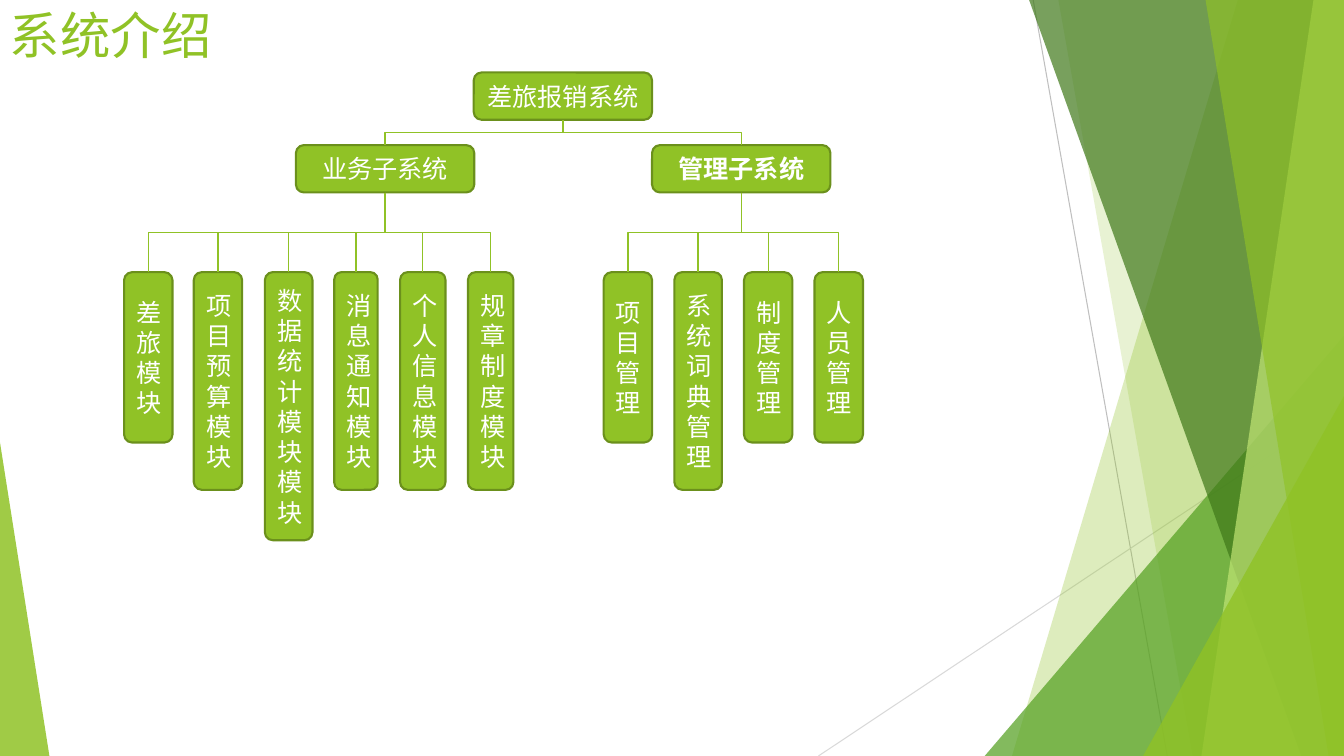
from dataclasses import dataclass

from lxml import etree
from pptx import Presentation
from pptx import util as u
from pptx.dml.color import RGBColor
from pptx.enum import shapes, text
from pptx.oxml.ns import qn

Pt = u.Pt
W, H = 960, 540
COLORS = {
    "lime": "90C226",
    "edge": "6B901C",
    "green": "54A021",
    "dark": "3F7819",
    "pale": "C0E474",
    "white": "FFFFFF",
    "gray": "BFBFBF",
    "silver": "D9D9D9",
}
FONT = "Cabin"
LEAF_TOP = 194.4
LEAF_HEIGHTS = {4: 121.7, 6: 155.5, 8: 191.5}


@dataclass
class Facet:
    top_x: float
    bottom_x: float
    color: str
    alpha: int


@dataclass
class Wedge:
    x: float
    y: float
    w: float
    apex: int
    color: str
    alpha: int


@dataclass
class Box:
    label: str
    x: float
    y: float
    w: float
    h: float
    bold: bool = False


@dataclass
class Leaf:
    label: str
    x: float
    w: float = 34.6


DECOR = [
    Facet(884.2, 722.9, "lime", 30),
    Facet(756, 851.8, "lime", 20),
    Wedge(703.4, 239.8, 256.6, 1, "green", 72),
    Facet(735.1, 929.5, "dark", 70),
    Facet(938.2, 858.2, "pale", 70),
    Facet(861.1, 949, "lime", 65),
    Wedge(816.5, 283, 143.5, 1, "lime", 80),
    Wedge(0, 316.1, 35.3, 0, "lime", 85),
]
RAYS = [(738, 0, 833.8, H, "gray"), (W, 290.2, 584.6, H, "silver")]

ROOT = Box("差旅报销系统", 338.4, 51.8, 127.4, 33.8)
BRANCHES = [
    (Box("业务子系统", 211.4, 103.7, 127.4, 33.8), [
        Leaf("差旅模块", 88.6),
        Leaf("项目预算模块", 138.4),
        Leaf("数据统计模块模块", 189.2, 34),
        Leaf("消息通知模块", 238.8, 31),
        Leaf("个人信息模块", 285.8, 32.4),
        Leaf("规章制度模块", 334.3, 32.4),
    ]),
    (Box("管理子系统", 465.8, 103.7, 127.4, 33.8, True), [
        Leaf("项目管理", 431.2),
        Leaf("系统词典管理", 481.7, 34),
        Leaf("制度管理", 531.4),
        Leaf("人员管理", 581.8),
    ]),
]


def rgb(name: str) -> RGBColor:
    return RGBColor.from_string(COLORS[name])


def write(tf, content: str, *, size: float, color: str, bold: bool = False,
          align=text.PP_ALIGN.LEFT, anchor=text.MSO_ANCHOR.TOP) -> None:
    tf.word_wrap = True
    tf.vertical_anchor = anchor
    p = tf.paragraphs[0]
    p.alignment = align
    r = p.add_run()
    r.text = content
    r.font.name = FONT
    r.font.size = Pt(size)
    r.font.bold = bold
    r.font.color.rgb = rgb(color)


def style_line(cn, color: str, width: float) -> None:
    cn.line.color.rgb = rgb(color)
    cn.line.width = Pt(width)
    etree.SubElement(cn._element.spPr, qn("a:effectLst"))


def draw_ray(s, x1: float, y1: float, x2: float, y2: float, color: str) -> None:
    cn = s.shapes.add_connector(shapes.MSO_CONNECTOR.STRAIGHT,
                                Pt(x1), Pt(y1), Pt(x2), Pt(y2))
    style_line(cn, color, 0.75)


def draw_decor(s, item: Facet | Wedge) -> None:
    if isinstance(item, Facet):
        fb = s.shapes.build_freeform(Pt(item.top_x), 0)
        fb.add_line_segments([(Pt(W), 0), (Pt(W), Pt(H)),
                              (Pt(item.bottom_x), Pt(H))], close=True)
        sp = fb.convert_to_shape()
    else:
        sp = s.shapes.add_shape(shapes.MSO_SHAPE.ISOSCELES_TRIANGLE, Pt(item.x),
                                Pt(item.y), Pt(item.w), Pt(H - item.y))
        sp.adjustments[0] = item.apex
    sp.shadow.inherit = False
    sp.fill.solid()
    sp.fill.fore_color.rgb = rgb(item.color)
    clr = sp._element.spPr.find(qn("a:solidFill"))[0]
    etree.SubElement(clr, qn("a:alpha"), val=str(item.alpha * 1000))
    sp.line.fill.background()


def draw_box(s, box: Box):
    sp = s.shapes.add_shape(shapes.MSO_SHAPE.FLOWCHART_ALTERNATE_PROCESS,
                            Pt(box.x), Pt(box.y), Pt(box.w), Pt(box.h))
    sp.shadow.inherit = False
    sp.fill.solid()
    sp.fill.fore_color.rgb = rgb("lime")
    sp.line.color.rgb = rgb("edge")
    sp.line.width = Pt(1.5)
    write(sp.text_frame, box.label, size=18, color="white", bold=box.bold,
          align=text.PP_ALIGN.CENTER, anchor=text.MSO_ANCHOR.MIDDLE)
    return sp


def link(s, parent, child) -> None:
    x1, y1 = parent.left + parent.width // 2, parent.top + parent.height
    x2, y2 = child.left + child.width // 2, child.top
    cn = s.shapes.add_connector(shapes.MSO_CONNECTOR.ELBOW, x1, y1, x2, y2)
    cn.begin_connect(parent, 2)
    cn.end_connect(child, 0)
    cn.width, cn.height = y2 - y1, abs(x2 - x1)
    cn.left = (x1 + x2 - cn.width) // 2
    cn.top = (y1 + y2 - cn.height) // 2
    to_right = x2 > x1
    xfrm = cn._element.spPr.find(qn("a:xfrm"))
    xfrm.set("rot", "16200000" if to_right else "5400000")
    xfrm.set("flipH", "1" if to_right else "0")
    style_line(cn, "lime", 1)


def main() -> None:
    prs = Presentation()
    prs.slide_width, prs.slide_height = Pt(W), Pt(H)
    s = prs.slides.add_slide(prs.slide_layouts[6])
    for ray in RAYS:
        draw_ray(s, *ray)
    for item in DECOR:
        draw_decor(s, item)
    title = s.shapes.add_textbox(0, Pt(-0.7), Pt(676.8), Pt(103.7))
    write(title.text_frame, "系统介绍", size=36, color="lime")

    root = draw_box(s, ROOT)
    for box, leaves in BRANCHES:
        branch = draw_box(s, box)
        link(s, root, branch)
        for leaf in leaves:
            sp = draw_box(s, Box(leaf.label, leaf.x, LEAF_TOP, leaf.w,
                                 LEAF_HEIGHTS[len(leaf.label)]))
            link(s, branch, sp)
    prs.save("out.pptx")


if __name__ == "__main__":
    main()
